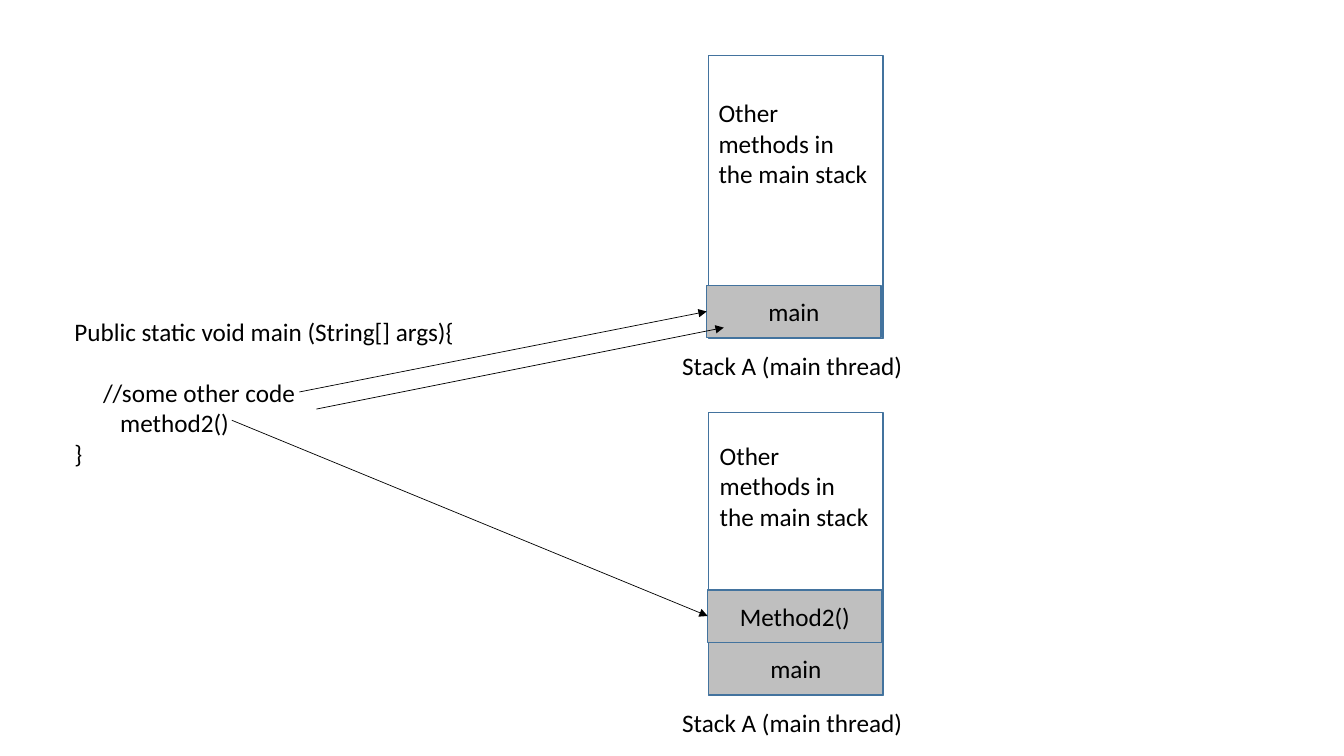
from lxml import etree
from pptx import Presentation
from pptx.dml.color import RGBColor
from pptx.enum.shapes import MSO_CONNECTOR, MSO_SHAPE
from pptx.enum.text import MSO_ANCHOR, PP_ALIGN
from pptx.oxml.ns import qn
from pptx.util import Pt

RECTANGLE = MSO_SHAPE.RECTANGLE
STRAIGHT = MSO_CONNECTOR.STRAIGHT
CENTER = PP_ALIGN.CENTER
MIDDLE = MSO_ANCHOR.MIDDLE

COLORS = {"text": "000000", "border": "43739E", "frame": "BFBFBF"}
FONT, FONT_SIZE = "Calibri", 18
BLANK_LAYOUT = 6
STACK_LEFT, STACK_WIDTH, STACK_HEIGHT = 506.2, 124.6, 202.3
FRAME_HEIGHT = 37.4


def color(name):
    """Return a named colour."""
    return RGBColor.from_string(COLORS[name])


class StackDiagram:
    """Draw styled elements on one slide."""

    def __init__(self, slide):
        """Keep the current slide."""
        self.slide = slide

    def set_text(self, text_frame, text):
        """Set the text and format its runs."""
        text_frame.word_wrap = True
        text_frame.text = text
        for paragraph in text_frame.paragraphs:
            for run in paragraph.runs:
                run.font.name = FONT
                run.font.size = Pt(FONT_SIZE)
                run.font.color.rgb = color("text")

    def label(self, text, left, top, width, height):
        """Add a text box and return its paragraphs."""
        box = self.slide.shapes.add_textbox(Pt(left), Pt(top), Pt(width), Pt(height))
        self.set_text(box.text_frame, text)
        return box.text_frame.paragraphs

    def box(self, left, top, height, fill=None, text=""):
        """Add a bordered rectangle as wide as a stack."""
        shape = self.slide.shapes.add_shape(
            RECTANGLE, Pt(left), Pt(top), Pt(STACK_WIDTH), Pt(height))
        shape.shadow.inherit = False
        shape.line.color.rgb = color("border")
        shape.line.width = Pt(1)
        if fill:
            shape.fill.solid()
            shape.fill.fore_color.rgb = color(fill)
        else:
            shape.fill.background()
        if text:
            self.set_text(shape.text_frame, text)
            shape.text_frame.vertical_anchor = MIDDLE
            shape.text_frame.paragraphs[0].alignment = CENTER

    def stack(self, top, note_left, note_top, frames):
        """Add a call stack; frames are (name, left) from the bottom up."""
        self.box(STACK_LEFT, top, STACK_HEIGHT)
        for level, (name, left) in enumerate(frames, start=1):
            frame_top = top + STACK_HEIGHT - 0.6 - level * FRAME_HEIGHT
            self.box(left, frame_top, FRAME_HEIGHT, "frame", name)
        self.label("Stack A (main thread)", 480.2, top + 207.4, 190, 29)
        self.label("Other methods in the main stack", note_left, note_top, 124, 73)

    def code(self, lines, left, top, width, height):
        """Add code; each line is (text, indent, space before)."""
        text = "\n".join(line for line, _, _ in lines)
        paragraphs = self.label(text, left, top, width, height)
        for paragraph, (_, indent, space) in zip(paragraphs, lines):
            paragraph.space_before = Pt(space)
            properties = paragraph._p.get_or_add_pPr()
            properties.set("marL", str(Pt(indent)))
            properties.set("indent", "0")

    def arrow(self, start, end):
        """Add a thin arrow between two points."""
        connector = self.slide.shapes.add_connector(
            STRAIGHT, *(Pt(value) for value in (*start, *end)))
        connector.line.color.rgb = color("text")
        connector.line.width = Pt(0.5)
        line = connector.line._get_or_add_ln()
        etree.SubElement(line, qn("a:tailEnd"), type="triangle")
        etree.SubElement(connector._element.spPr, qn("a:effectLst"))


def main():
    """Build and save the slide."""
    presentation = Presentation()
    presentation.slide_width, presentation.slide_height = Pt(960), Pt(540)
    slide = presentation.slides.add_slide(presentation.slide_layouts[BLANK_LAYOUT])
    diagram = StackDiagram(slide)

    diagram.stack(39.6, 506.2, 66.2, [("main", 504.8)])
    diagram.stack(294.5, 507, 311, [("main", 506.2), ("Method2()", 505.5)])
    diagram.code([("Public static void main (String[] args){", 0, 0),
                  ("//some other code", 20.5, 22),
                  ("method2()", 32.8, 0),
                  ("}", 0, 0)], 46, 222.5, 434, 116.6)
    for start, end in [((213.8, 280), (504.8, 222.5)),
                       ((165.6, 300.2), (505.5, 440)),
                       ((226, 292.2), (517, 234))]:
        diagram.arrow(start, end)

    presentation.save("out.pptx")


main()
